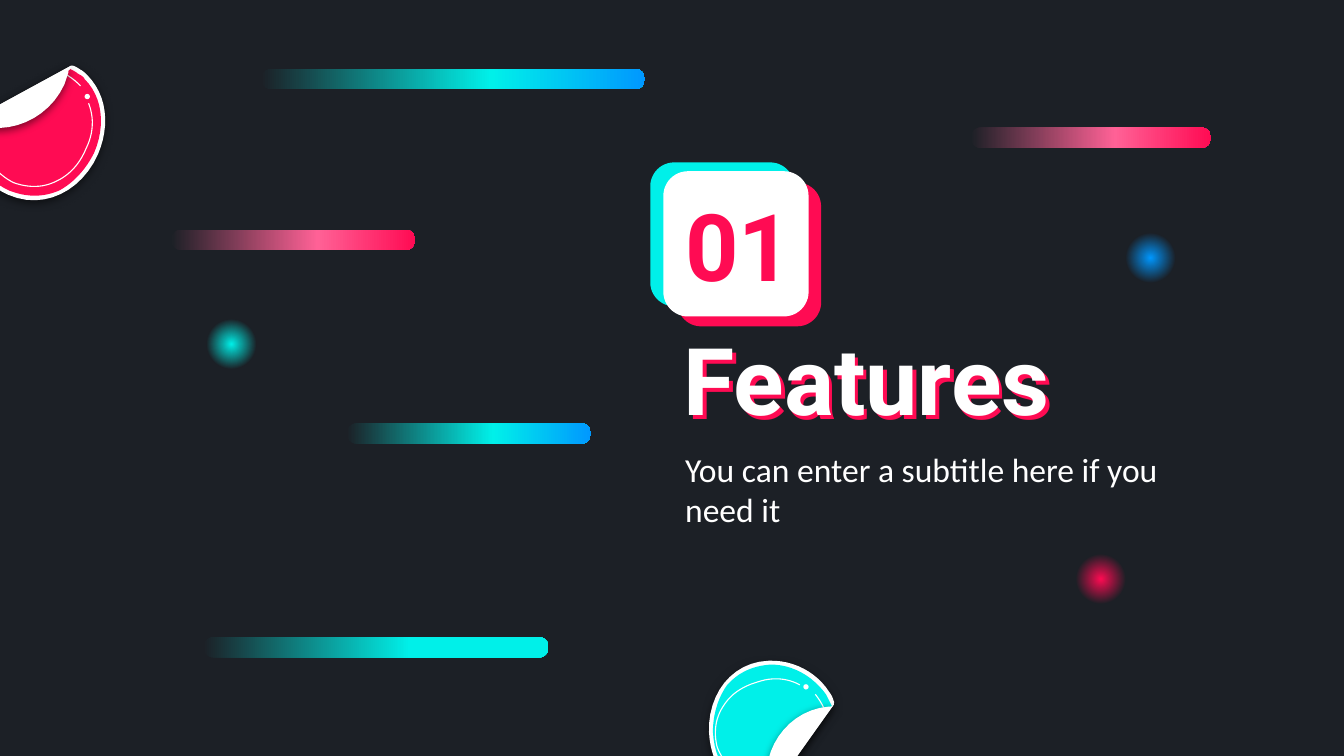
from dataclasses import dataclass
from math import cos, radians, sin

from lxml.etree import SubElement
from pptx import Presentation
from pptx.dml.color import RGBColor
from pptx.enum.shapes import MSO_SHAPE
from pptx.enum.text import MSO_ANCHOR
from pptx.oxml.ns import qn
from pptx.util import Cm, Pt

DARK, WHITE, RED, PINK = "1C2026", "FFFFFF", "FF0B53", "FF6196"
CYAN, BLUE = "00F0E9", "0098FF"

# Sticker paths, around the sticker's centre, in hundredths of an inch.
# Two numbers are a straight line to a point, six numbers are a cubic curve.
UNIT = 0.0254
FOLD_ANGLE = -28.6
BORDER = [
    (-54, -2), (-54, 0, -55, 2, -54, 7), (-52, 25, -40, 42, -22, 50),
    (5, 62, 33, 47, 45, 20), (54, -1, 52, -24, 37, -39),
    (36, -40, 34, -42, 32, -43), (29, -45, 27, -46, 26, -46),
    (25, -46), (-52, -4), (-53, -4, -53, -3, -54, -2),
]
DISC = [
    (-51, -4), (-51, -3, -51, 1, -51, 6), (-48, 24, -37, 40, -21, 47),
    (-8, 52, 4, 52, 16, 47), (27, 41, 36, 31, 42, 19),
    (51, -2, 48, -23, 35, -36), (34, -38, 32, -39, 30, -40),
    (28, -42, 23, -44, 23, -44),
]
FOLD = [
    (-52, -4), (-51, -4, -50, -4, -48, -3), (-22, 7, 8, -6, 20, -32),
    (21, -35, 22, -38, 23, -41), (23, -42, 23, -43, 24, -43),
    (24, -44, 25, -45, 25, -46),
]
ARC = [
    (-37, 24), (-34, 28, -28, 36, -18, 41), (-7, 45, 4, 45, 14, 40),
    (27, 34, 33, 23, 36, 16), (42, 4, 42, -8, 38, -18),
]
TICK = [(20, -40), (24, -38, 28, -35, 32, -31)]
DOT_CENTRE = complex(37, -23)
DOT_SIZE = 0.1


@dataclass
class Sticker:
    left: float
    top: float
    color: str
    turn: float = 0
    scale: float = 1
    mirrored_line: bool = False

    def place(self, point: complex, mirrored: bool = False) -> complex:
        """Return the position on the slide, in centimetres."""
        if mirrored:
            point = -direction(2 * FOLD_ANGLE) * point.conjugate()
        return complex(self.left, self.top) + point * direction(self.turn) * self.scale * UNIT


@dataclass
class Bar:
    left: float
    top: float
    width: float
    middle: str
    end: str


@dataclass
class Glow:
    left: float
    top: float
    color: str


@dataclass
class Label:
    text: str
    left: float
    top: float
    width: float
    height: float
    size: float
    color: str
    font: str = "Roboto"
    bold: bool = True
    top_inset: float = 0
    anchor: MSO_ANCHOR = MSO_ANCHOR.TOP
    space_after: float = 0


STICKERS = [
    Sticker(0.71, 2.41, RED),
    Sticker(14.58, 13.8, CYAN, turn=154, scale=0.945, mirrored_line=True),
]
BARS = [
    Bar(18.34, 2.41, 4.55, PINK, RED),
    Bar(3.84, 12.04, 6.53, CYAN, CYAN),
    Bar(4.93, 1.3, 7.26, CYAN, BLUE),
    Bar(3.23, 4.34, 4.62, PINK, RED),
    Bar(6.55, 8, 4.62, CYAN, BLUE),
]
GLOWS = [Glow(21.21, 4.34, BLUE), Glow(20.27, 10.41, RED), Glow(3.84, 5.97, CYAN)]
BADGE = [(12.29, 3.07, CYAN), (12.8, 3.45, RED), (12.55, 3.25, WHITE)]
LABELS = [
    Label("Features", 12.74, 6.17, 9.88, 2.34, 50, RED),
    Label("Features", 12.67, 6.1, 9.88, 2.34, 50, WHITE),
    Label("01", 12.7, 3.45, 2.69, 2.34, 50, RED, top_inset=0.25, anchor=MSO_ANCHOR.MIDDLE),
    Label("You can enter a subtitle here if you need it", 12.7, 8.48, 9.88, 1.93,
          18, WHITE, font="Calibri", bold=False, space_after=16),
]


def rgb(value: str) -> RGBColor:
    return RGBColor.from_string(value)


def direction(angle: float) -> complex:
    return complex(cos(radians(angle)), sin(radians(angle)))


def flatten(path: list[tuple], steps: int = 12) -> list[complex]:
    """Turn lines and cubic curves into points."""
    points = []
    for segment in path:
        if len(segment) == 2:
            points.append(complex(*segment))
            continue
        start = points[-1]
        first, second, end = (complex(*segment[i:i + 2]) for i in (0, 2, 4))
        for step in range(1, steps + 1):
            t = step / steps
            s = 1 - t
            points.append(s**3 * start + 3 * s * s * t * first + 3 * s * t * t * second + t**3 * end)
    return points


def paint(shape, color: str) -> None:
    shape.shadow.inherit = False
    shape.fill.solid()
    shape.fill.fore_color.rgb = rgb(color)
    shape.line.fill.background()


def add_soft_shadow(shape) -> None:
    effects = shape._element.spPr.find(qn("a:effectLst"))
    shadow = SubElement(effects, qn("a:outerShdw"), blurRad=str(Pt(4.5)), dist=str(Pt(1.5)),
                        dir="5400000", algn="bl", rotWithShape="0")
    color = SubElement(shadow, qn("a:srgbClr"), val="000000")
    SubElement(color, qn("a:alpha"), val="50000")


def paint_gradient(shape, stops: list[tuple[int, str]], radial: bool = False) -> None:
    paint(shape, DARK)
    properties = shape._element.spPr
    solid = properties.find(qn("a:solidFill"))
    gradient = SubElement(properties, qn("a:gradFill"), rotWithShape="1")
    stop_list = SubElement(gradient, qn("a:gsLst"))
    for position, color in stops:
        stop = SubElement(stop_list, qn("a:gs"), pos=str(position * 1000))
        SubElement(stop, qn("a:srgbClr"), val=color)
    if radial:
        circle = SubElement(gradient, qn("a:path"), path="circle")
        SubElement(circle, qn("a:fillToRect"), l="50000", t="50000", r="50000", b="50000")
    else:
        SubElement(gradient, qn("a:lin"), ang="0", scaled="0")
    properties.replace(solid, gradient)


def draw_outline(shapes, sticker: Sticker, path: list[tuple], closed: bool = True):
    mirrored = sticker.mirrored_line and not closed
    points = [sticker.place(point, mirrored) for point in flatten(path)]
    start, *rest = [(Cm(point.real), Cm(point.imag)) for point in points]
    builder = shapes.build_freeform(*start)
    builder.add_line_segments(rest, close=closed)
    return builder.convert_to_shape()


def draw_sticker(slide, sticker: Sticker) -> None:
    shapes = slide.shapes.add_group_shape().shapes
    border = draw_outline(shapes, sticker, BORDER)
    paint(border, WHITE)
    add_soft_shadow(border)
    paint(draw_outline(shapes, sticker, DISC), sticker.color)
    for path in (ARC, TICK):
        stroke = draw_outline(shapes, sticker, path, closed=False)
        stroke.shadow.inherit = False
        stroke.fill.background()
        stroke.line.color.rgb = rgb(WHITE)
        stroke.line.width = Pt(0.6)
    centre = sticker.place(DOT_CENTRE, sticker.mirrored_line)
    dot = shapes.add_shape(MSO_SHAPE.OVAL, Cm(centre.real - DOT_SIZE / 2),
                           Cm(centre.imag - DOT_SIZE / 2), Cm(DOT_SIZE), Cm(DOT_SIZE))
    paint(dot, WHITE)
    fold = draw_outline(shapes, sticker, FOLD)
    paint(fold, WHITE)
    add_soft_shadow(fold)


def draw_badge(slide) -> None:
    shapes = slide.shapes.add_group_shape().shapes
    for left, top, color in BADGE:
        tile = shapes.add_shape(MSO_SHAPE.ROUNDED_RECTANGLE, Cm(left), Cm(top), Cm(2.72), Cm(2.72))
        paint(tile, color)
    tile.line.color.rgb = rgb(WHITE)
    tile.line.width = Pt(0.75)


def draw_bar(slide, bar: Bar) -> None:
    shape = slide.shapes.add_shape(MSO_SHAPE.ROUNDED_RECTANGLE, Cm(bar.left), Cm(bar.top),
                                   Cm(bar.width), Cm(0.39))
    shape.adjustments[0] = 0.5
    paint_gradient(shape, [(0, DARK), (60, bar.middle), (100, bar.end)])


def draw_glow(slide, glow: Glow) -> None:
    shape = slide.shapes.add_shape(MSO_SHAPE.OVAL, Cm(glow.left), Cm(glow.top), Cm(1.07), Cm(1.07))
    paint_gradient(shape, [(0, glow.color), (63, DARK), (100, DARK)], radial=True)


def draw_label(slide, label: Label) -> None:
    box = slide.shapes.add_textbox(Cm(label.left), Cm(label.top), Cm(label.width), Cm(label.height))
    frame = box.text_frame
    frame.word_wrap = True
    frame.vertical_anchor = label.anchor
    frame.margin_left = frame.margin_right = frame.margin_bottom = Cm(0.25)
    frame.margin_top = Cm(label.top_inset)
    paragraph = frame.paragraphs[0]
    paragraph.space_after = Pt(label.space_after)
    run = paragraph.add_run()
    run.text = label.text
    run.font.name = label.font
    run.font.size = Pt(label.size)
    run.font.bold = label.bold
    run.font.color.rgb = rgb(label.color)


def main() -> None:
    presentation = Presentation()
    presentation.slide_width, presentation.slide_height = Cm(25.4), Cm(14.29)
    slide = presentation.slides.add_slide(presentation.slide_layouts[6])
    slide.background.fill.solid()
    slide.background.fill.fore_color.rgb = rgb(DARK)
    for sticker in STICKERS:
        draw_sticker(slide, sticker)
    draw_badge(slide)
    for bar in BARS:
        draw_bar(slide, bar)
    for glow in GLOWS:
        draw_glow(slide, glow)
    for label in LABELS:
        draw_label(slide, label)
    presentation.save("out.pptx")


if __name__ == "__main__":
    main()
